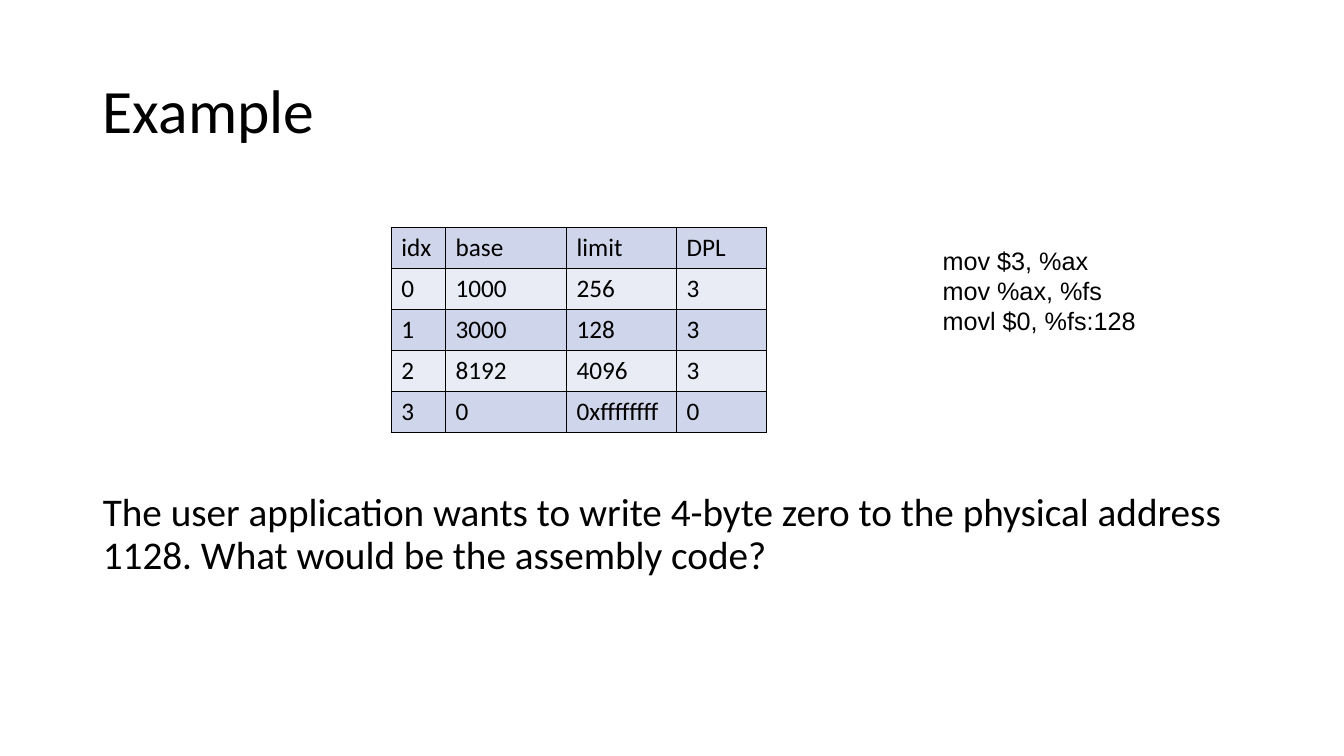
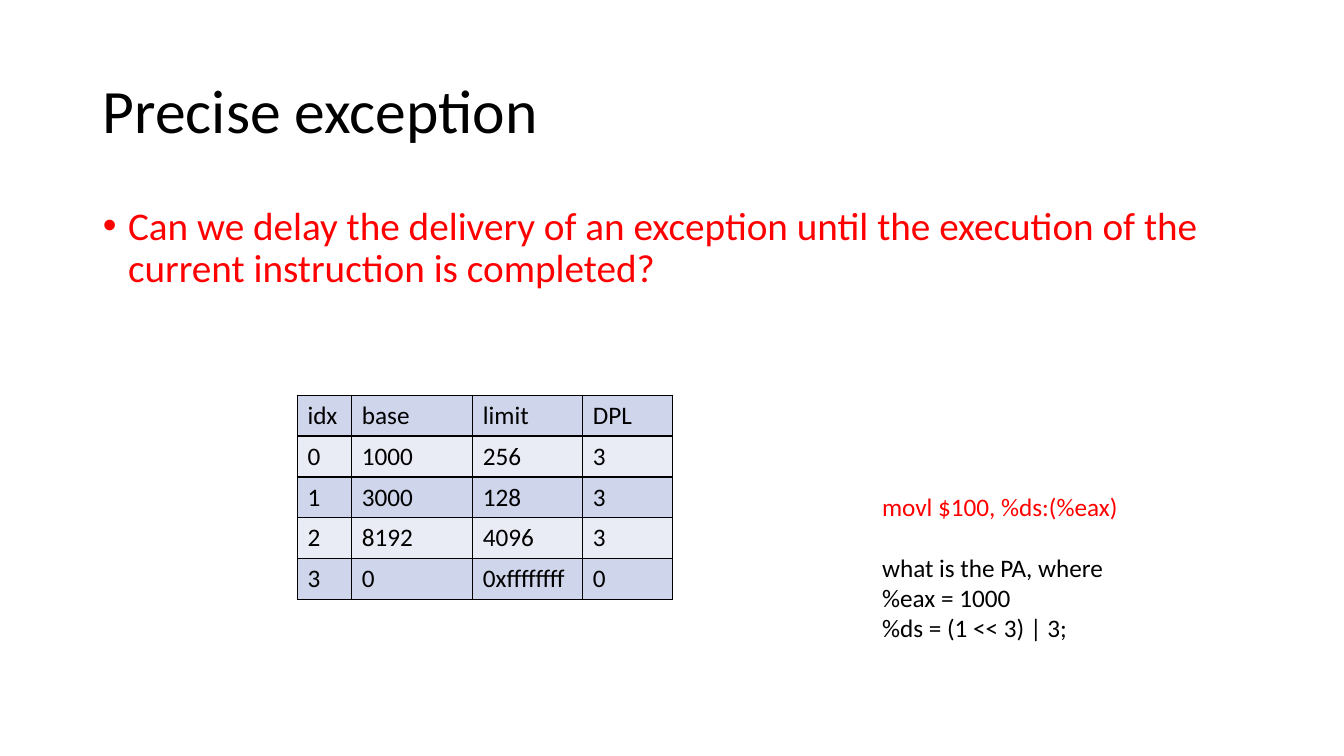
from dataclasses import dataclass

from pptx import Presentation
from pptx.dml.color import RGBColor
from pptx.enum.text import MSO_ANCHOR, MSO_AUTO_SIZE, PP_ALIGN
from pptx.oxml import parse_xml
from pptx.oxml.ns import nsdecls
from pptx.util import Pt

PX = 9144
SEGMENTS = [
    ["idx", "base", "limit", "DPL"],
    ["0", "1000", "256", "3"],
    ["1", "3000", "128", "3"],
    ["2", "8192", "4096", "3"],
    ["3", "0", "0xffffffff", "0"],
]
COLUMNS = [54, 120, 109, 89]


@dataclass(frozen=True)
class Theme:
    font: str = "Calibri"
    code_font: str = "Arial"
    ink: str = "000000"
    accent: str = "FF0000"
    bands: tuple = ("CFD5EA", "E9EBF5")
    title_size: int = 44
    body_size: int = 28
    small_size: int = 18
    line_gap: int = 22
    line_spacing: float = 0.9
    border: int = 1


class Deck:
    """Holds the theme and the current slide, and draws each kind of element."""

    def __init__(self, theme):
        self.theme = theme
        self.prs = Presentation()
        self.prs.slide_width, self.prs.slide_height = 1333 * PX, 750 * PX
        self.slide = None

    def place(self, sp, x, y, w, h):
        sp.left, sp.top, sp.width, sp.height = (v * PX for v in (x, y, w, h))

    def style(self, p, size, color=None, font=None):
        for r in p.runs:
            r.font.size = Pt(size)
            r.font.name = font or self.theme.font
            r.font.color.rgb = RGBColor.from_string(color or self.theme.ink)

    def add_slide(self, title):
        self.slide = self.prs.slides.add_slide(self.prs.slide_layouts[1])
        sp = self.slide.shapes.title
        self.place(sp, 92, 40, 1150, 145)
        tf = sp.text_frame
        tf.text = title
        tf.auto_size = MSO_AUTO_SIZE.NONE
        tf.vertical_anchor = MSO_ANCHOR.MIDDLE
        p = tf.paragraphs[0]
        p.alignment = PP_ALIGN.LEFT
        p.line_spacing = self.theme.line_spacing
        self.style(p, self.theme.title_size)

    def body(self, text, y, h, color=None, bullet=False):
        sp = self.slide.placeholders[1]
        self.place(sp, 92, y, 1150, h)
        tf = sp.text_frame
        tf.text = text
        tf.auto_size = MSO_AUTO_SIZE.NONE
        p = tf.paragraphs[0]
        pPr = p._p.get_or_add_pPr()
        indent = 25 * PX if bullet else 0
        pPr.set("marL", str(indent))
        pPr.set("indent", str(-indent))
        if bullet:
            pPr.append(parse_xml(f'<a:buFont {nsdecls("a")} typeface="Arial"/>'))
            pPr.append(parse_xml(f'<a:buChar {nsdecls("a")} char="•"/>'))
        else:
            pPr.append(parse_xml(f'<a:buNone {nsdecls("a")}/>'))
        p.line_spacing = self.theme.line_spacing
        p.space_before = Pt(0)
        self.style(p, self.theme.body_size, color)

    def table(self, rows, columns, x, y, h):
        frame = self.slide.shapes.add_table(
            len(rows), len(columns), x * PX, y * PX, sum(columns) * PX, h * PX)
        table = frame.table
        table.first_row = table.horz_banding = False
        for column, width in zip(table.columns, columns):
            column.width = width * PX
        for i, row in enumerate(rows):
            for j, text in enumerate(row):
                cell = table.cell(i, j)
                cell.text = text
                self.style(cell.text_frame.paragraphs[0], self.theme.small_size)
                self.borders(cell)
                cell.fill.solid()
                band = self.theme.bands[i % len(self.theme.bands)]
                cell.fill.fore_color.rgb = RGBColor.from_string(band)

    def borders(self, cell):
        tcPr = cell._tc.get_or_add_tcPr()
        for side in "LRTB":
            tcPr.append(parse_xml(
                f'<a:ln{side} {nsdecls("a")} w="{Pt(self.theme.border)}"><a:solidFill>'
                f'<a:srgbClr val="{self.theme.ink}"/></a:solidFill></a:ln{side}>'))

    def text(self, lines, x, y, w, h, font=None):
        sp = self.slide.shapes.add_textbox(x * PX, y * PX, w * PX, h * PX)
        tf = sp.text_frame
        tf.word_wrap = True
        tf.auto_size = MSO_AUTO_SIZE.SHAPE_TO_FIT_TEXT
        tf.text = "\n".join(lines)
        for p in tf.paragraphs:
            self.style(p, self.theme.small_size, font=font)
        return tf.paragraphs


def main():
    theme = Theme()
    deck = Deck(theme)

    deck.add_slide("Example")
    deck.body("The user application wants to write 4-byte zero to the physical "
              "address 1128. What would be the assembly code?", 484, 192)
    deck.table(SEGMENTS, COLUMNS, 388, 226, 203)
    deck.text(["mov $3, %ax", "mov %ax, %fs", "movl $0, %fs:128"],
              925, 238, 362, 101, theme.code_font)

    deck.add_slide("Precise exception")
    deck.body("Can we delay the delivery of an exception until the execution of "
              "the current instruction is completed?", 200, 476, theme.accent, True)
    deck.table(SEGMENTS, COLUMNS, 295, 392, 203)
    code, question, *_ = deck.text(
        ["movl $100, %ds:(%eax)", "what is the PA, where", "%eax = 1000",
         "%ds = (1 << 3) | 3;"], 865, 482, 392, 162)
    deck.style(code, theme.small_size, theme.accent)
    question.space_before = Pt(theme.line_gap)

    deck.prs.save("out.pptx")


if __name__ == "__main__":
    main()
